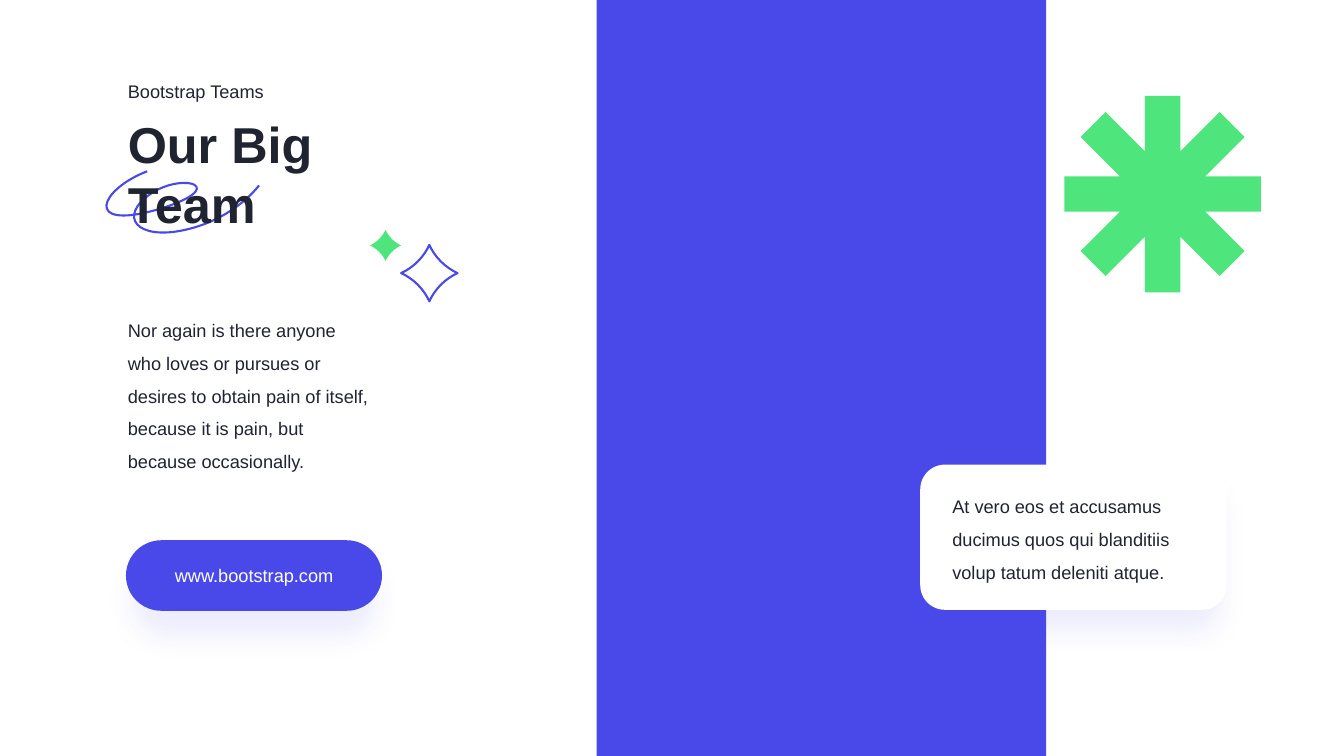
import math
from dataclasses import dataclass

import lxml.etree
import pptx
import pptx.dml.color
import pptx.enum.shapes
import pptx.enum.text
import pptx.oxml.ns
import pptx.util

Inches = pptx.util.Inches
Pt = pptx.util.Pt
qn = pptx.oxml.ns.qn
SubElement = lxml.etree.SubElement
SHAPES = pptx.enum.shapes.MSO_SHAPE
ALIGN = pptx.enum.text.PP_ALIGN


@dataclass(frozen=True)
class Theme:
    font: str = "Arial"
    ink: str = "202430"
    indigo: str = "4949EA"
    green: str = "4EE57C"
    white: str = "FFFFFF"
    title_size: int = 36
    body_size: int = 13
    stroke: float = 1.5


def rgb(color):
    return pptx.dml.color.RGBColor.from_string(color)


def set_all(target, values):
    for name, value in values.items():
        setattr(target, name, value)


def radial(box, motif, count):
    left, top, width, height = box
    outline = []
    for turn in range(count):
        angle = 2 * math.pi * turn / count
        cos, sin = math.cos(angle), math.sin(angle)
        outline += [(left + width / 2 * (1 + x * cos - y * sin),
                     top + height / 2 * (1 + x * sin + y * cos)) for x, y in motif]
    return outline


def asterisk(box, half_arm=0.18):
    inner = half_arm / math.tan(math.pi / 8)
    return radial(box, [(1, -half_arm), (1, half_arm), (inner, half_arm)], 8)


def sparkle(box):
    side = [(0, -1), (0.08, -0.82), (0.22, -0.6),
            (0.41, -0.41), (0.6, -0.22), (0.82, -0.08)]
    points = radial(box, side, 4)
    return points + points[:1]


class SlideBuilder:
    def __init__(self, slide, theme):
        self.slide = slide
        self.theme = theme

    def paint(self, shape, fill=None, line=None):
        shape.shadow.inherit = False
        if fill:
            shape.fill.solid()
            shape.fill.fore_color.rgb = rgb(fill)
        else:
            shape.fill.background()
        if line:
            shape.line.color.rgb = rgb(line)
            shape.line.width = Pt(self.theme.stroke)
        else:
            shape.line.fill.background()

    def panel(self, box, fill, kind=SHAPES.RECTANGLE):
        shape = self.slide.shapes.add_shape(kind, *map(Inches, box))
        self.paint(shape, fill)
        return shape

    def card(self, box, fill, corner):
        shape = self.panel(box, fill, SHAPES.ROUNDED_RECTANGLE)
        shape.adjustments[0] = corner
        effects = shape._element.spPr.find(qn("a:effectLst"))
        shadow = SubElement(effects, qn("a:outerShdw"), {
            "blurRad": str(Pt(20)), "dist": str(Pt(20)), "dir": "5400000",
            "sx": "95000", "sy": "95000", "algn": "t", "rotWithShape": "0"})
        tint = SubElement(shadow, qn("a:srgbClr"), val=self.theme.indigo)
        SubElement(tint, qn("a:alpha"), val="10000")

    def outline(self, points, closed=True, **colors):
        corners = [(Inches(x), Inches(y)) for x, y in points]
        builder = self.slide.shapes.build_freeform(*corners[0])
        builder.add_line_segments(corners[1:], close=closed)
        shape = builder.convert_to_shape()
        self.paint(shape, **colors)
        return shape

    def curve(self, box, points, closed=True, **colors):
        shape = self.outline(points, closed, **colors)
        left, top, width, height = map(Inches, box)
        set_all(shape, {"left": left, "top": top, "width": width, "height": height})
        route = next(shape._element.iter(qn("a:path")))
        route.set("w", str(width))
        route.set("h", str(height))
        for segment in list(route):
            route.remove(segment)
        for index, (x, y) in enumerate(points):
            if index % 3 == 1:
                segment = SubElement(route, qn("a:cubicBezTo"))
            elif index == 0:
                segment = SubElement(route, qn("a:moveTo"))
            SubElement(segment, qn("a:pt"), x=str(Inches(x) - left), y=str(Inches(y) - top))
        if closed:
            SubElement(route, qn("a:close"))

    def text(self, box, words, wrap=True, paragraph_format=None, **font_format):
        frame = self.slide.shapes.add_textbox(*map(Inches, box)).text_frame
        set_all(frame, {"word_wrap": wrap,
                        "auto_size": pptx.enum.text.MSO_AUTO_SIZE.SHAPE_TO_FIT_TEXT})
        paragraph = frame.paragraphs[0]
        set_all(paragraph, paragraph_format or {})
        run = paragraph.add_run()
        run.text = words
        font = {"name": self.theme.font, "size": self.theme.body_size,
                "color": self.theme.ink, **font_format}
        run.font.color.rgb = rgb(font.pop("color"))
        font["size"] = Pt(font["size"])
        set_all(run.font, font)


def main():
    deck = pptx.Presentation()
    set_all(deck, {"slide_width": Inches(40 / 3), "slide_height": Inches(7.5)})
    theme = Theme()
    team = SlideBuilder(deck.slides.add_slide(deck.slide_layouts[6]), theme)
    airy = {"line_spacing": 1.5}

    scribble = [(1.46, 1.7), (0.99, 1.88), (0.82, 2.29), (1.56, 2.08),
                (2.3, 1.86), (1.83, 1.7), (1.5, 1.92),
                (1.16, 2.15), (1.36, 2.39), (1.84, 2.28),
                (2.33, 2.17), (2.57, 1.84), (2.57, 1.84)]
    team.curve((1.06, 1.7, 1.51, 0.6), scribble, closed=False, line=theme.indigo)
    team.panel((5.92, 0, 4.46, 7.5), theme.indigo)

    team.text((1.17, 0.75, 1.75, 0.32), "Bootstrap Teams", wrap=False)
    team.text((1.17, 1.07, 2.24, 1.31), "Our Big Team", size=theme.title_size, bold=True)
    team.text((1.17, 3.01, 2.63, 1.71),
              "Nor again is there anyone who loves or pursues or desires to obtain "
              "pain of itself, because it is pain, but because occasionally.",
              paragraph_format=airy)

    team.card((1.25, 5.36, 2.54, 0.7), theme.indigo, 0.5)
    team.text((1.49, 5.55, 2.06, 0.32), "www.bootstrap.com", wrap=False,
              paragraph_format={"alignment": ALIGN.CENTER}, color=theme.white)

    team.card((9.13, 4.61, 3.04, 1.44), theme.white, 0.17)
    team.text((9.35, 4.76, 2.6, 1.05),
              "At vero eos et accusamus ducimus quos qui blanditiis "
              "volup tatum deleniti atque.",
              paragraph_format=airy)

    team.outline(asterisk((10.56, 0.95, 1.95, 1.95)), fill=theme.green)
    for box, colors in [((3.67, 2.28, 0.31, 0.31), {"fill": theme.green}),
                        ((3.98, 2.43, 0.56, 0.56), {"line": theme.indigo})]:
        team.curve(box, sparkle(box), **colors)

    deck.save("out.pptx")


if __name__ == "__main__":
    main()
